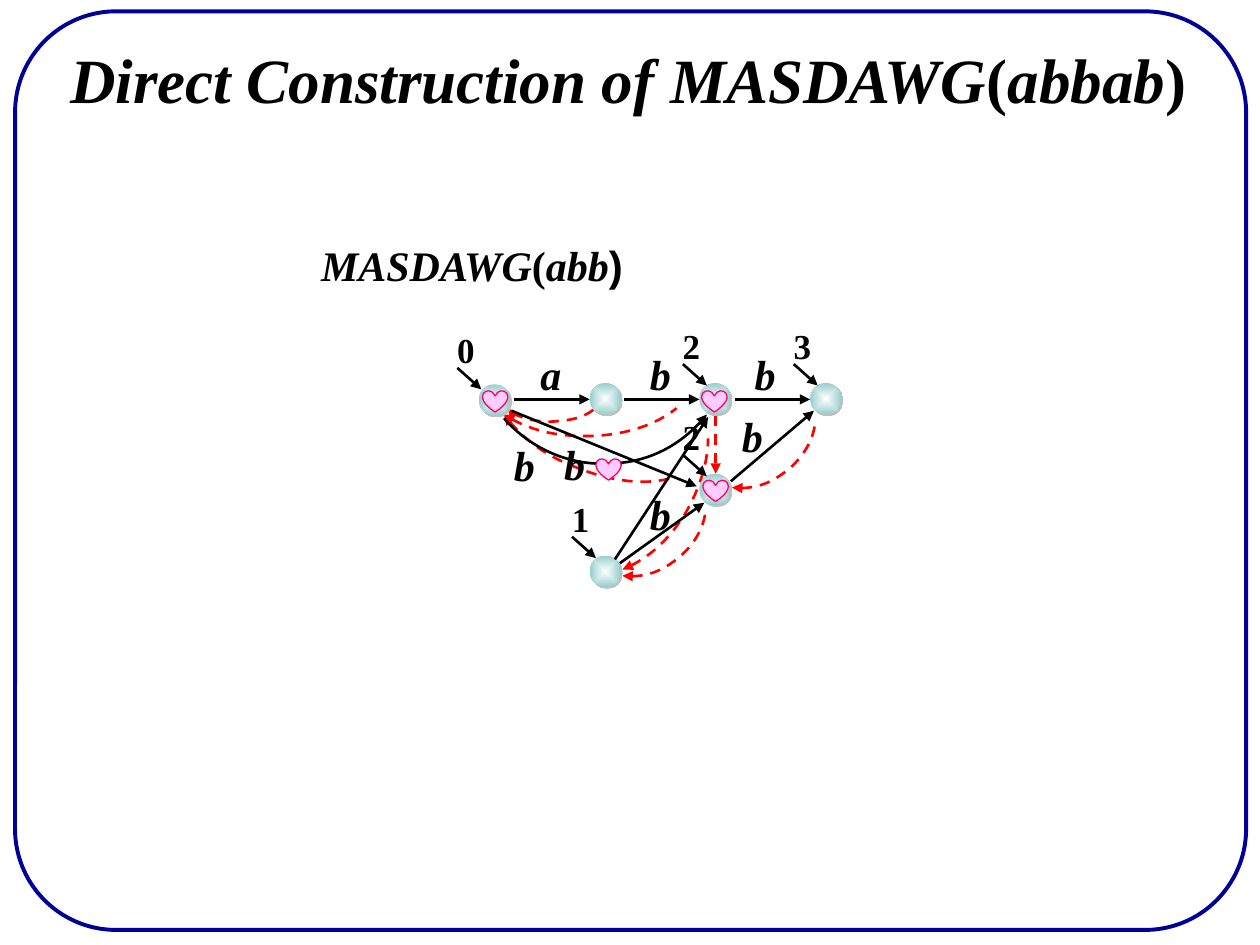
from lxml.etree import SubElement
from pptx import Presentation
from pptx.dml.color import RGBColor
from pptx.enum.dml import MSO_LINE
from pptx.enum.shapes import MSO_CONNECTOR, MSO_SHAPE
from pptx.enum.text import MSO_AUTO_SIZE
from pptx.oxml.ns import qn
from pptx.util import Inches, Pt

BLACK = RGBColor(0x00, 0x00, 0x00)
WHITE = RGBColor(0xFF, 0xFF, 0xFF)
NAVY = RGBColor(0x00, 0x00, 0x99)
RED = RGBColor(0xFF, 0x00, 0x00)
TEAL = RGBColor(0x97, 0xCD, 0xCC)
PINK = RGBColor(0xFF, 0xCC, 0xFF)
ROSE = RGBColor(0xFF, 0x00, 0x66)
SERIF = "Times New Roman"
NODE = 0.25

NODES = [(0.8, 1.05), (1.68, 1.04), (2.55, 1.04), (3.43, 1.04),
         (2.55, 1.76), (1.68, 2.41)]
HEARTS = [(0.83, 1.1), (1.73, 1.64), (2.57, 1.1), (2.58, 1.81)]
ENTRIES = [("0", 0.63, 0.92), ("2", 2.42, 0.89), ("3", 3.3, 0.89),
           ("2", 2.42, 1.61), ("1", 1.54, 2.26)]
EDGES = [(1.08, 1.17, 1.68, 1.17), (1.95, 1.17, 2.55, 1.17),
         (2.83, 1.17, 3.43, 1.17), (1.06, 1.26, 2.53, 1.86),
         (1.88, 2.44, 2.62, 1.31), (1.92, 2.47, 2.59, 1.99),
         (2.8, 1.82, 3.46, 1.26)]
LETTERS = [("a", 1.19, 0.72), ("b", 2.06, 0.72), ("b", 2.89, 0.72),
           ("b", 0.98, 1.44), ("b", 1.38, 1.43), ("b", 2.06, 1.83),
           ("b", 2.79, 1.21)]
FORWARD = [(2.61, 1.29), (2.42, 1.53), (2.12, 1.68), (1.81, 1.68),
           (1.5, 1.69), (1.2, 1.55), (1, 1.32)]
SHORT_LINK = [(1.07, 1.28), (1.16, 1.33), (1.31, 1.36), (1.45, 1.34),
              (1.59, 1.33), (1.7, 1.28), (1.75, 1.21)]
SUFFIX_LINKS = [
    [(1.94, 2.52), (2.12, 2.45), (2.3, 2.29), (2.43, 2.09),
     (2.55, 1.89), (2.62, 1.67), (2.62, 1.48)],
    [(1, 1.29), (1.18, 1.41), (1.44, 1.47), (1.71, 1.46),
     (1.97, 1.45), (2.21, 1.37), (2.37, 1.24)],
    [(1, 1.29), (1.13, 1.47), (1.35, 1.63), (1.6, 1.72),
     (1.85, 1.82), (2.11, 1.85), (2.31, 1.8)],
    [(2.81, 1.87), (2.95, 1.89), (3.11, 1.84), (3.24, 1.74),
     (3.37, 1.64), (3.46, 1.49), (3.47, 1.35)],
    [(1.94, 2.57), (2.08, 2.59), (2.24, 2.54), (2.37, 2.44),
     (2.5, 2.34), (2.59, 2.19), (2.6, 2.05)],
]


def text(s, x, y, w, h, size, runs):
    tf = s.shapes.add_textbox(Inches(x), Inches(y), Inches(w), Inches(h)).text_frame
    tf.word_wrap = False
    tf.auto_size = MSO_AUTO_SIZE.SHAPE_TO_FIT_TEXT
    p = tf.paragraphs[0]
    for words, italic, face in runs:
        r = p.add_run()
        r.text = words
        r.font.color.rgb = BLACK
        for key, value in {"name": face, "size": Pt(size), "bold": True,
                           "italic": italic}.items():
            setattr(r.font, key, value)


def stroke(sp, color, dash=None, end=None, width=1.5):
    sp.line.color.rgb = color
    sp.line.width = Pt(width)
    if dash:
        sp.line.dash_style = dash
    if end:
        SubElement(sp.line._get_or_add_ln(), qn(end), type="triangle")


def arrow(s, x1, y1, x2, y2, color=BLACK, dash=None):
    c = s.shapes.add_connector(MSO_CONNECTOR.STRAIGHT, Inches(x1), Inches(y1),
                               Inches(x2), Inches(y2))
    stroke(c, color, dash, "a:tailEnd")
    SubElement(c._element.spPr, qn("a:effectLst"))


def curve(s, points, color, dash=None, end="a:headEnd"):
    points = [(Inches(x), Inches(y)) for x, y in points]
    builder = s.shapes.build_freeform(*points[0])
    builder.add_line_segments(points[1:], close=False)
    sp = builder.convert_to_shape()
    outline = sp._element.spPr.find(".//" + qn("a:path"))
    segments = outline.findall(qn("a:lnTo"))
    for i in range(0, len(segments), 3):
        bezier = SubElement(outline, qn("a:cubicBezTo"))
        for segment in segments[i:i + 3]:
            bezier.append(segment[0])
            outline.remove(segment)
    sp.fill.background()
    sp.shadow.inherit = False
    stroke(sp, color, dash, end)


def preset(s, kind, x, y, w, h):
    sp = s.shapes.add_shape(kind, Inches(x), Inches(y), Inches(w), Inches(h))
    sp.shadow.inherit = False
    return sp


def node(s, x, y):
    sp = preset(s, MSO_SHAPE.OVAL, x, y, NODE, NODE)
    sp.line.fill.background()
    sp.fill.gradient()
    for stop, color in zip(sp.fill.gradient_stops, (WHITE, TEAL)):
        stop.color.rgb = color
    spPr = sp._element.spPr
    grad = spPr.find(qn("a:gradFill"))
    grad.remove(grad.find(qn("a:lin")))
    shade = SubElement(grad, qn("a:path"), path="rect")
    SubElement(shade, qn("a:fillToRect"), l="50000", t="50000", r="50000", b="50000")
    shadow = SubElement(spPr.find(qn("a:effectLst")), qn("a:outerShdw"),
                        dist=str(Pt(1.4)), dir="2700000", algn="ctr")
    SubElement(shadow, qn("a:srgbClr"), val="C0C0C0")


def heart(s, x, y):
    sp = preset(s, MSO_SHAPE.HEART, x, y, 0.2, 0.17)
    sp.fill.solid()
    sp.fill.fore_color.rgb = PINK
    stroke(sp, ROSE, width=0.75)


def frame(s, x, y, w, h):
    sp = preset(s, MSO_SHAPE.ROUNDED_RECTANGLE, x, y, w, h)
    sp.adjustments[0] = 0.11
    sp.fill.background()
    stroke(sp, NAVY, width=2.25)


def automaton(s, left, top):
    def moved(points):
        return [(left + x, top + y) for x, y in points]

    for link in SUFFIX_LINKS:
        curve(s, moved(link), RED, MSO_LINE.DASH)
    curve(s, moved(SHORT_LINK), RED, MSO_LINE.DASH, None)
    arrow(s, left + 1.08, top + 1.3, left + 1.03, top + 1.24, RED)
    curve(s, moved(FORWARD), BLACK)
    for x, y in moved(NODES):
        node(s, x, y)
    for x1, y1, x2, y2 in EDGES:
        arrow(s, left + x1, top + y1, left + x2, top + y2)
    arrow(s, left + 2.68, top + 1.3, left + 2.68, top + 1.76, RED, MSO_LINE.DASH)
    for x, y in moved(HEARTS):
        heart(s, x, y)
    for number, x, y in ENTRIES:
        x, y = left + x, top + y
        arrow(s, x, y, x + 0.19, y + 0.17)
        text(s, x - 0.1, y - 0.36, 0.34, 0.44, 20, [(number, False, SERIF)])
    for letter, x, y in LETTERS:
        text(s, left + x, top + y, 0.36, 0.5, 24, [(letter, True, SERIF)])


def heading(s, x, y, w, h, size, word, last_face=SERIF):
    text(s, x, y, w, h, size, [(word[0], True, SERIF), ("(", False, SERIF),
                               (word[1], True, SERIF), (")", False, last_face)])


prs = Presentation()
prs.slide_width, prs.slide_height = Inches(10), Inches(7.5)
s = prs.slides.add_slide(prs.slide_layouts[6])
frame(s, 0.12, 0.09, 9.77, 7.29)
heading(s, 0.46, 0.27, 9.1, 0.7, 36, ("Direct Construction of MASDAWG", "abbab"))
heading(s, 2.45, 1.85, 2.64, 0.5, 24, ("MASDAWG", "abb"), "Arial")
automaton(s, 3, 2)
prs.save("out.pptx")
